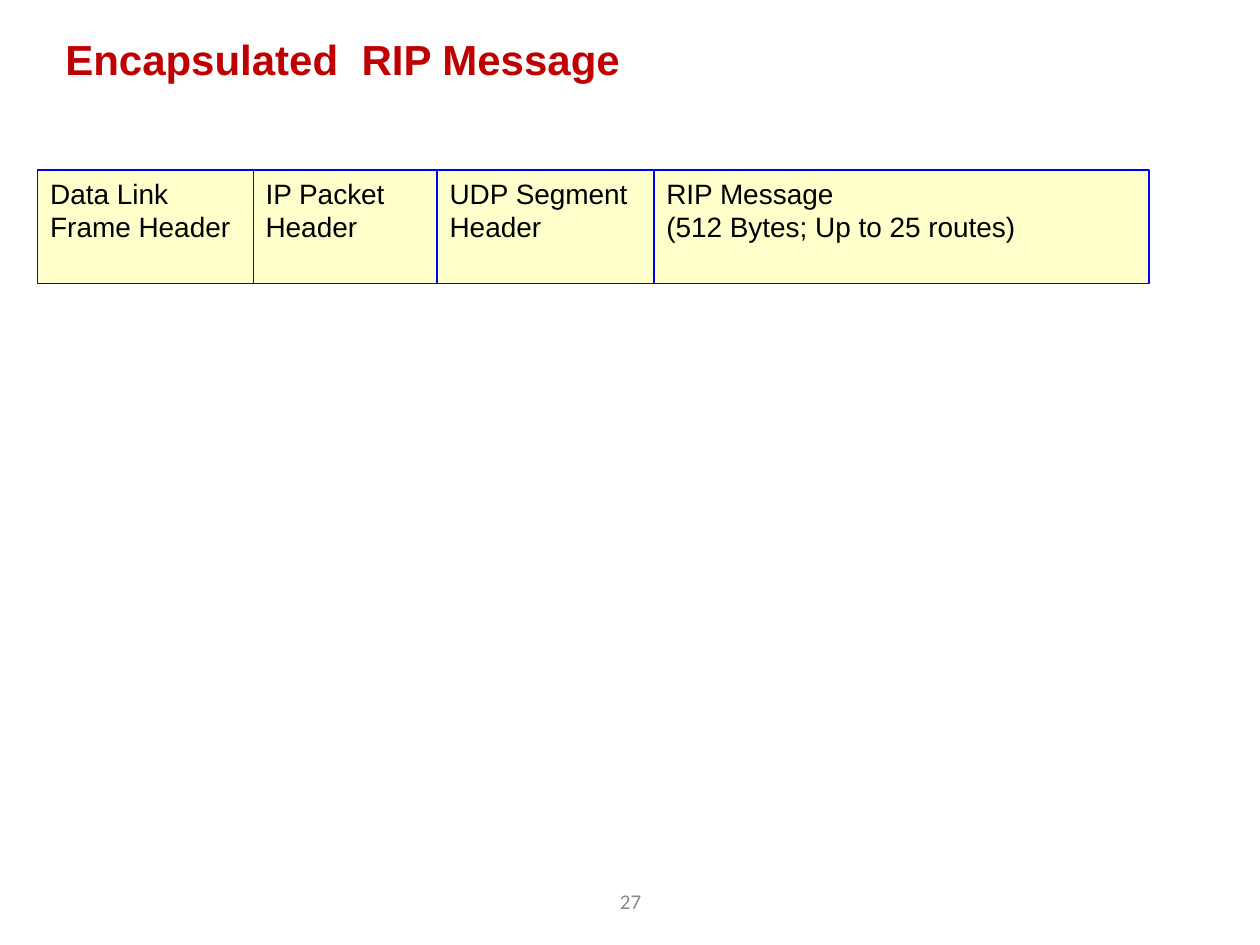
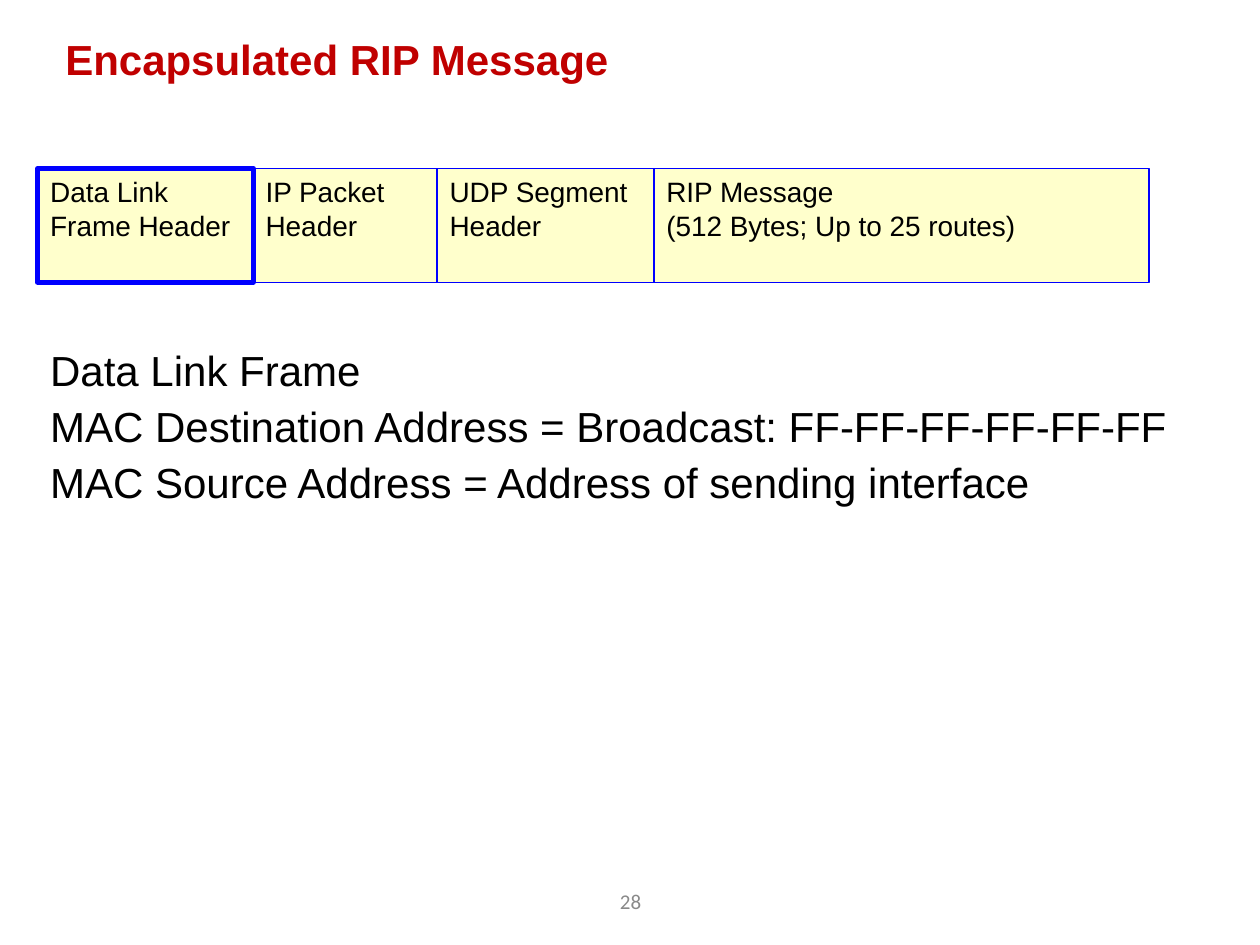
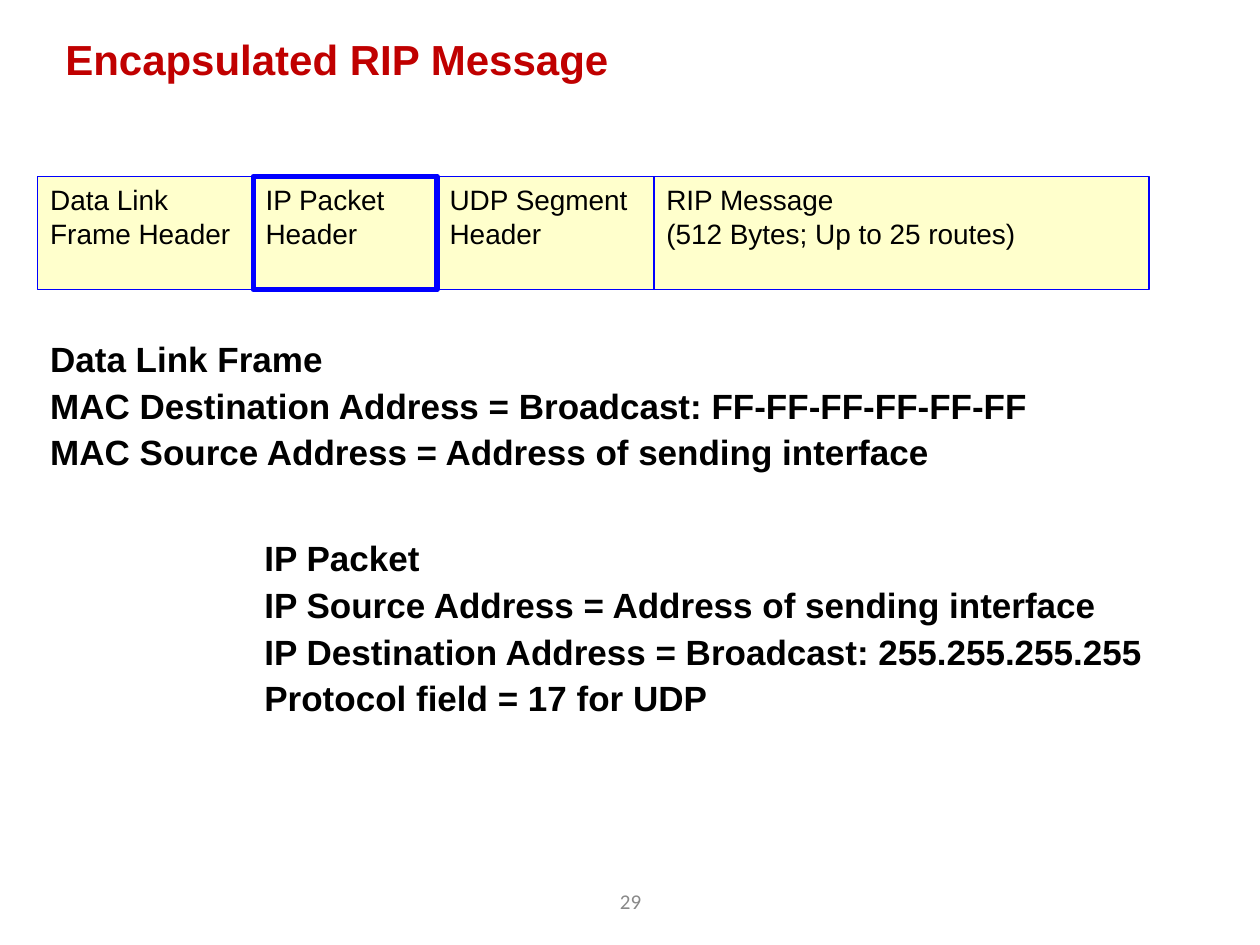
from dataclasses import dataclass
from itertools import accumulate

from pptx import Presentation
from pptx import slide as sld
from pptx import util as u
from pptx.dml import color
from pptx.enum import shapes, text

RED, BLUE, CREAM, BLACK, GRAY = "C00000", "0000FF", "FFFFCC", "000000", "898989"
BODY_FONT, NUMBER_FONT = "Arial", "Calibri"
HEADER_LEFT, HEADER_HEIGHT = 0.3, 0.9
HANGING_INDENT = 0.38


@dataclass(frozen=True)
class Style:
    size: int
    color: str = BLACK
    bold: bool = False
    font: str = BODY_FONT
    align: text.PP_ALIGN = text.PP_ALIGN.LEFT
    anchor: text.MSO_ANCHOR = text.MSO_ANCHOR.TOP
    space_before: int = 0
    line_spacing: float = 1.0
    hanging: float = 0


@dataclass(frozen=True)
class Header:
    label: str
    width: float


@dataclass(frozen=True)
class Note:
    left: float
    top: float
    width: float
    height: float
    lines: tuple[str, ...]
    style: Style


@dataclass(frozen=True)
class Page:
    number: int
    title: str
    header_top: float
    highlighted: int | None = None
    notes: tuple[Note, ...] = ()


TITLE = Style(24, RED, bold=True)
HEADER = Style(16)
NUMBER = Style(12, GRAY, font=NUMBER_FONT, align=text.PP_ALIGN.CENTER,
               anchor=text.MSO_ANCHOR.MIDDLE)
LARGE_NOTE = Style(24, space_before=6, line_spacing=0.9, hanging=HANGING_INDENT)
BOLD_NOTE = Style(20, bold=True, space_before=5, line_spacing=0.9, hanging=HANGING_INDENT)

HEADERS = (
    Header("Data Link Frame Header", 1.71),
    Header("IP Packet Header", 1.46),
    Header("UDP Segment Header", 1.72),
    Header("RIP Message\n(512 Bytes; Up to 25 routes)", 3.93),
)
FRAME_LINES = (
    "Data Link Frame",
    "MAC Destination Address = Broadcast: FF-FF-FF-FF-FF-FF",
    "MAC Source Address = Address of sending interface",
)
PACKET_LINES = (
    "IP Packet",
    "IP Source Address = Address of sending interface",
    "IP Destination Address = Broadcast: 255.255.255.255",
    "Protocol field = 17 for UDP",
)
PAGES = (
    Page(27, "Encapsulated  RIP Message", 1.35),
    Page(28, "Encapsulated RIP Message", 1.34, 0,
         (Note(0.3, 2.73, 9.37, 2.02, FRAME_LINES, LARGE_NOTE),)),
    Page(29, "Encapsulated RIP Message", 1.4, 1,
         (Note(0.3, 2.67, 8.54, 1.14, FRAME_LINES, BOLD_NOTE),
          Note(2, 4.25, 7.5, 1.68, PACKET_LINES, BOLD_NOTE))),
)


def rgb(value: str) -> color.RGBColor:
    return color.RGBColor.from_string(value)


def write(shape, lines: tuple[str, ...], style: Style) -> None:
    frame = shape.text_frame
    frame.word_wrap = True
    frame.vertical_anchor = style.anchor
    for index, line in enumerate(lines):
        paragraph = frame.add_paragraph() if index else frame.paragraphs[0]
        paragraph.text = line
        paragraph.alignment = style.align
        paragraph.line_spacing = style.line_spacing
        if index:
            paragraph.space_before = u.Pt(style.space_before)
        if style.hanging:
            properties = paragraph._p.get_or_add_pPr()
            properties.set("marL", str(u.Inches(style.hanging)))
            properties.set("indent", str(-u.Inches(style.hanging)))
        paragraph.font.name = style.font
        paragraph.font.size = u.Pt(style.size)
        paragraph.font.bold = style.bold
        paragraph.font.color.rgb = rgb(style.color)


def add_note(slide: sld.Slide, note: Note):
    box = slide.shapes.add_textbox(u.Inches(note.left), u.Inches(note.top),
                                   u.Inches(note.width), u.Inches(note.height))
    write(box, note.lines, note.style)
    return box


def add_header(slide: sld.Slide, header: Header, left: float, top: float,
               line_width: float) -> None:
    shape = slide.shapes.add_shape(
        shapes.MSO_SHAPE.RECTANGLE, u.Inches(left), u.Inches(top),
        u.Inches(header.width), u.Inches(HEADER_HEIGHT))
    shape.shadow.inherit = False
    shape.fill.solid()
    shape.fill.fore_color.rgb = rgb(CREAM)
    shape.line.color.rgb = rgb(BLUE)
    shape.line.width = u.Pt(line_width)
    write(shape, (header.label,), HEADER)


def add_headers(slide: sld.Slide, top: float, highlighted: int | None) -> None:
    lefts = list(accumulate((header.width for header in HEADERS), initial=HEADER_LEFT))
    for index in sorted(range(len(HEADERS)), key=lambda position: position == highlighted):
        line_width = 3 if index == highlighted else 0.75
        add_header(slide, HEADERS[index], lefts[index], top, line_width)


def add_page(presentation, page: Page) -> None:
    slide = presentation.slides.add_slide(presentation.slide_layouts[6])
    add_note(slide, Note(3.42, 6.95, 3.17, 0.4, (str(page.number),), NUMBER))
    for note in page.notes:
        add_note(slide, note)
    add_headers(slide, page.header_top, page.highlighted)
    title = add_note(slide, Note(0.42, 0.22, 7.76, 0.5, (page.title,), TITLE))
    title.text_frame.auto_size = text.MSO_AUTO_SIZE.SHAPE_TO_FIT_TEXT


def main() -> None:
    presentation = Presentation()
    presentation.slide_width = u.Inches(10)
    presentation.slide_height = u.Inches(7.5)
    for page in PAGES:
        add_page(presentation, page)
    presentation.save("out.pptx")


if __name__ == "__main__":
    main()
